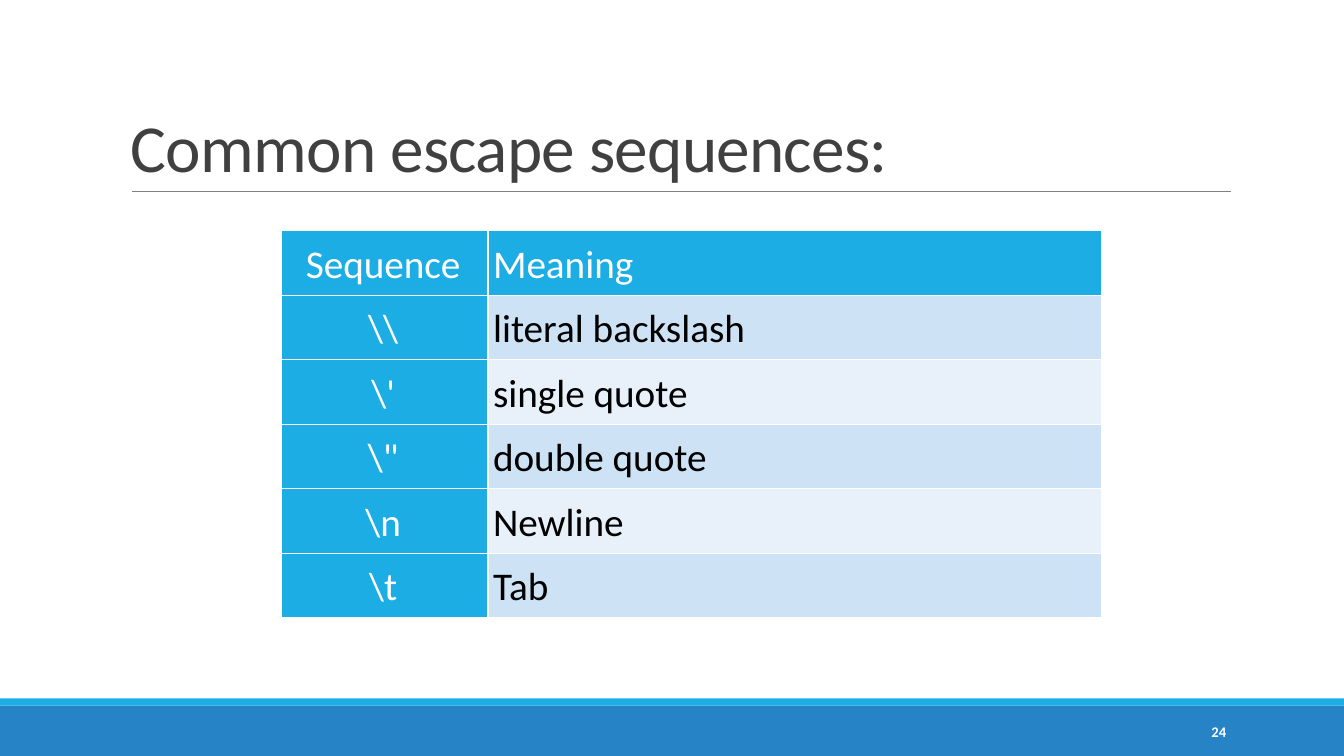
from dataclasses import dataclass

from lxml.etree import SubElement
from pptx import Presentation
from pptx.dml.color import RGBColor
from pptx.enum.shapes import MSO_CONNECTOR as Connector
from pptx.enum.shapes import MSO_SHAPE as Preset
from pptx.enum.text import MSO_ANCHOR as Anchor
from pptx.enum.text import PP_ALIGN as Align
from pptx.oxml.ns import qn
from pptx.util import Pt

EMU_PER_PX = 9144  # 100 px to the inch
SLIDE_W, SLIDE_H = 1333, 750
FONT = "Calibri"
COLORS = {
    "accent": "1CADE4",
    "footer": "2683C6",
    "rule": "808080",
    "title": "404040",
    "white": "FFFFFF",
    "black": "000000",
    "band_dark": "CDE3F5",
    "band_light": "E8F1FA",
}
TABLE_LEFT, TABLE_TOP = 279, 229
COLUMN_WIDTHS = (205, 609)
ROW_HEIGHT = 64


@dataclass(frozen=True)
class Box:
    left: int
    top: int
    width: int
    height: int

    def emu(self) -> tuple[int, ...]:
        return tuple(px(n) for n in (self.left, self.top, self.width, self.height))


@dataclass(frozen=True)
class Bar:
    box: Box
    color: str


@dataclass(frozen=True)
class Label:
    text: str
    box: Box
    size: float
    color: str
    anchor: Anchor
    align: Align = Align.LEFT
    bold: bool = False
    line_spacing: float = 1.0
    tracking: int = 0  # hundredths of a point


@dataclass(frozen=True)
class Escape:
    sequence: str
    meaning: str


BARS = (
    Bar(Box(0, 700, SLIDE_W, 50), "footer"),
    Bar(Box(0, 693, SLIDE_W, 7), "accent"),
)
LABELS = (
    Label("Common escape sequences:", Box(120, 31, 1100, 159), 48, "title",
          Anchor.BOTTOM, line_spacing=0.85, tracking=-50),
    Label("24", Box(1083, 706, 143, 40), 10.5, "white",
          Anchor.MIDDLE, Align.RIGHT, bold=True),
)
ESCAPES = (
    Escape("Sequence", "Meaning"),
    Escape(r"\\", "literal backslash"),
    Escape(r"\'", "single quote"),
    Escape(r'\"', "double quote"),
    Escape(r"\n", "Newline"),
    Escape(r"\t", "Tab"),
)


def px(n: int) -> int:
    return n * EMU_PER_PX


def rgb(name: str) -> RGBColor:
    return RGBColor.from_string(COLORS[name])


def style_text(paragraph, size: float, color: str, align: Align,
               line_spacing: float, bold: bool = False, tracking: int = 0) -> None:
    paragraph.alignment = align
    paragraph.line_spacing = line_spacing
    for run in paragraph.runs:
        run.font.name = FONT
        run.font.size = Pt(size)
        run.font.bold = bold
        run.font.color.rgb = rgb(color)
        if tracking:
            run.font._element.set("spc", str(tracking))


def add_bar(slide, bar: Bar) -> None:
    shape = slide.shapes.add_shape(Preset.RECTANGLE, *bar.box.emu())
    shape.shadow.inherit = False
    shape.fill.solid()
    shape.fill.fore_color.rgb = rgb(bar.color)
    shape.line.fill.background()


def add_title_rule(slide) -> None:
    rule = slide.shapes.add_connector(
        Connector.STRAIGHT, px(131), px(190), px(1221), px(190))
    rule.line.color.rgb = rgb("rule")
    rule.line.width = Pt(0.5)
    SubElement(rule._element.spPr, qn("a:effectLst"))


def add_label(slide, label: Label) -> None:
    frame = slide.shapes.add_textbox(*label.box.emu()).text_frame
    frame.word_wrap = True
    frame.vertical_anchor = label.anchor
    frame.text = label.text
    style_text(frame.paragraphs[0], label.size, label.color, label.align,
               label.line_spacing, label.bold, label.tracking)


def fill_cell(cell, text: str, fill: str, color: str, align: Align) -> None:
    cell.text = text
    cell.vertical_anchor = Anchor.MIDDLE
    cell.margin_left, cell.margin_right = px(5), px(8)
    cell.margin_top = cell.margin_bottom = px(1)
    style_text(cell.text_frame.paragraphs[0], 28, color, align, 1.07)
    # Borders must stand before the fill in the cell properties.
    properties = cell._tc.get_or_add_tcPr()
    for side in ("lnL", "lnR", "lnT", "lnB"):
        border = SubElement(properties, qn(f"a:{side}"), w=str(Pt(1)))
        solid = SubElement(border, qn("a:solidFill"))
        SubElement(solid, qn("a:srgbClr"), val=COLORS["white"])
    cell.fill.solid()
    cell.fill.fore_color.rgb = rgb(fill)


def add_escape_table(slide) -> None:
    box = Box(TABLE_LEFT, TABLE_TOP, sum(COLUMN_WIDTHS), ROW_HEIGHT * len(ESCAPES))
    table = slide.shapes.add_table(
        len(ESCAPES), len(COLUMN_WIDTHS), *box.emu()).table
    for column, width in zip(table.columns, COLUMN_WIDTHS):
        column.width = px(width)
    for index, escape in enumerate(ESCAPES):
        table.rows[index].height = px(ROW_HEIGHT)
        if index == 0:
            fill, color = "accent", "white"
        else:
            fill, color = ("band_dark" if index % 2 else "band_light"), "black"
        fill_cell(table.cell(index, 0), escape.sequence, "accent", "white", Align.CENTER)
        fill_cell(table.cell(index, 1), escape.meaning, fill, color, Align.LEFT)


def main() -> None:
    deck = Presentation()
    deck.slide_width, deck.slide_height = px(SLIDE_W), px(SLIDE_H)
    slide = deck.slides.add_slide(deck.slide_layouts[6])
    for bar in BARS:
        add_bar(slide, bar)
    add_title_rule(slide)
    for label in LABELS:
        add_label(slide, label)
    add_escape_table(slide)
    deck.save("out.pptx")


if __name__ == "__main__":
    main()
